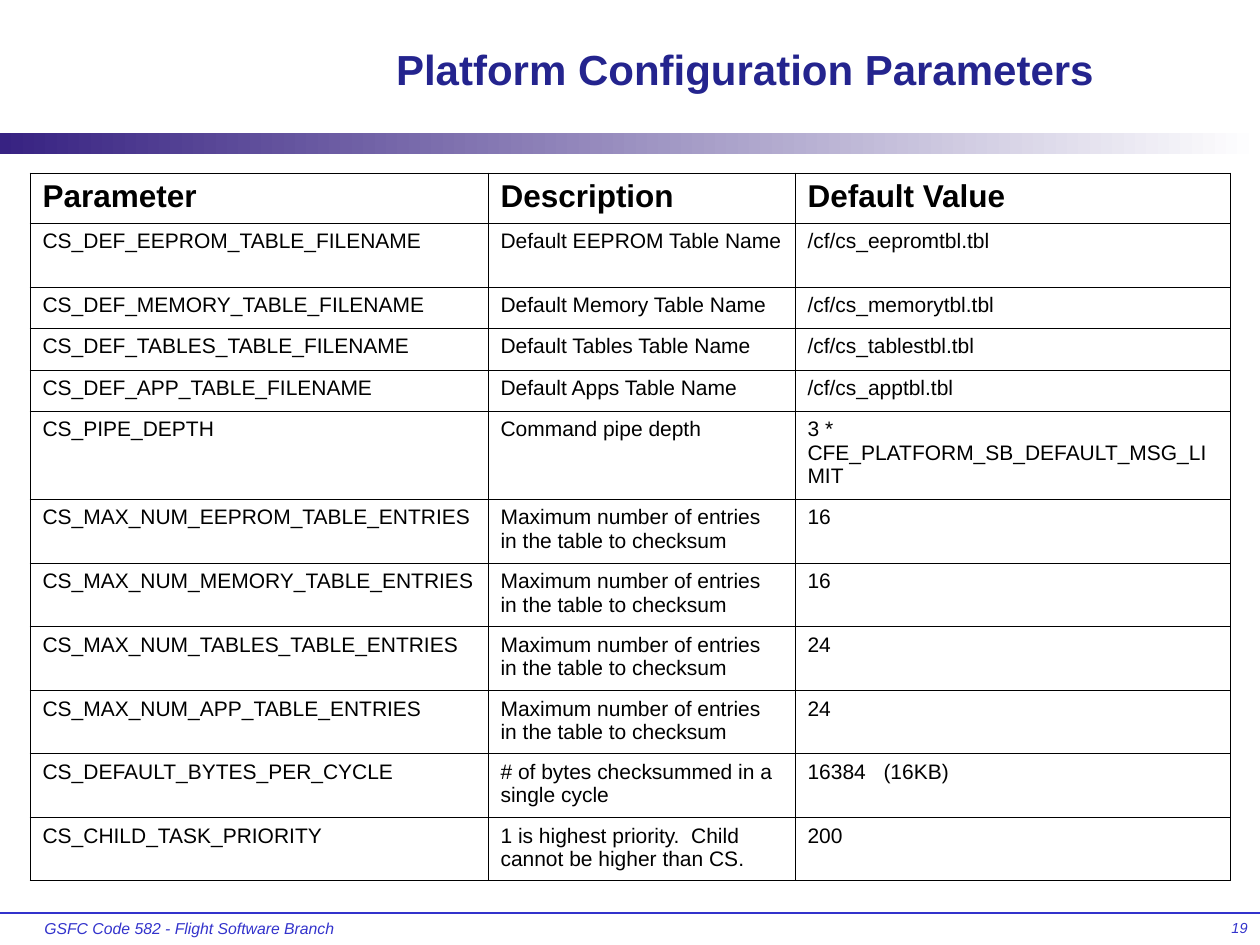
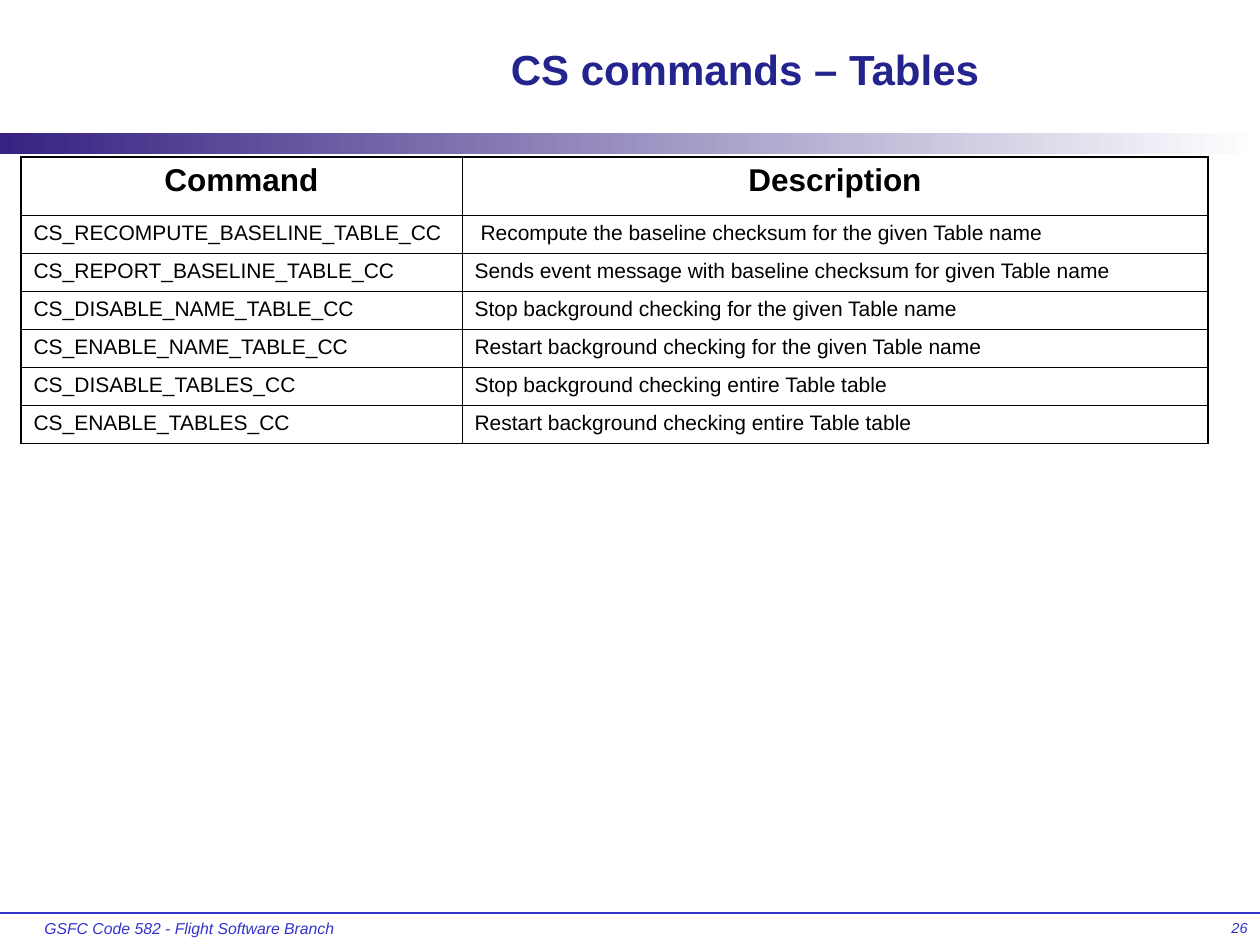
from dataclasses import dataclass

from lxml.etree import SubElement
from pptx import Presentation
from pptx.dml.color import RGBColor
from pptx.enum.shapes import MSO_CONNECTOR, MSO_SHAPE
from pptx.enum.text import MSO_ANCHOR, PP_ALIGN
from pptx.oxml.ns import qn
from pptx.util import Pt

PX = 914400 / 126
SLIDE_WIDTH, SLIDE_HEIGHT = 1260, 945
FONT = "Arial"
COLORS = {
    "title": "24248E",
    "footer": "3333CC",
    "band_start": "372282",
    "band_end": "FFFFFF",
    "table": "000000",
}
THIN, THICK = 0.45, 1.08
TAB_STOPS = (6, 76)
FOOTER_TOP, FOOTER_HEIGHT = 913, 32
BRANCH = "GSFC Code 582 - Flight Software Branch"


@dataclass(frozen=True)
class TextStyle:
    size: float
    color: str
    bold: bool = False
    italic: bool = False
    align: PP_ALIGN = PP_ALIGN.LEFT


@dataclass(frozen=True)
class Grid:
    left: int
    top: int
    columns: list[int]
    row_heights: list[int]
    rows: list[tuple[str, ...]]
    heading_align: PP_ALIGN
    frame_width: float


@dataclass(frozen=True)
class Page:
    title: str
    number: int
    grid: Grid


TITLE = TextStyle(24, "title", bold=True, align=PP_ALIGN.CENTER)
BRANCH_NAME = TextStyle(9, "footer", italic=True)
PAGE_NUMBER = TextStyle(8.3, "footer", italic=True, align=PP_ALIGN.RIGHT)
ENTRY = TextStyle(12, "table")

CHECKSUM_LIMIT = "Maximum number of entries in the table to checksum"
PARAMETERS = [
    ("Parameter", "Description", "Default Value"),
    ("CS_DEF_EEPROM_TABLE_FILENAME", "Default EEPROM Table Name", "/cf/cs_eepromtbl.tbl"),
    ("CS_DEF_MEMORY_TABLE_FILENAME", "Default Memory Table Name", "/cf/cs_memorytbl.tbl"),
    ("CS_DEF_TABLES_TABLE_FILENAME", "Default Tables Table Name", "/cf/cs_tablestbl.tbl"),
    ("CS_DEF_APP_TABLE_FILENAME", "Default Apps Table Name", "/cf/cs_apptbl.tbl"),
    ("CS_PIPE_DEPTH", "Command pipe depth", "3 * CFE_PLATFORM_SB_DEFAULT_MSG_LIMIT"),
    ("CS_MAX_NUM_EEPROM_TABLE_ENTRIES", CHECKSUM_LIMIT, "16"),
    ("CS_MAX_NUM_MEMORY_TABLE_ENTRIES", CHECKSUM_LIMIT, "16"),
    ("CS_MAX_NUM_TABLES_TABLE_ENTRIES", CHECKSUM_LIMIT, "24"),
    ("CS_MAX_NUM_APP_TABLE_ENTRIES", CHECKSUM_LIMIT, "24"),
    ("CS_DEFAULT_BYTES_PER_CYCLE", "# of bytes checksummed in a single cycle", "16384\t(16KB)"),
    ("CS_CHILD_TASK_PRIORITY", "1 is highest priority.  Child cannot be higher than CS.", "200"),
]
COMMANDS = [
    ("Command", "Description"),
    ("CS_RECOMPUTE_BASELINE_TABLE_CC", "\tRecompute the baseline checksum for the given Table name"),
    ("CS_REPORT_BASELINE_TABLE_CC", "Sends event message with baseline checksum for given Table name"),
    ("CS_DISABLE_NAME_TABLE_CC", "Stop background checking for the given Table name"),
    ("CS_ENABLE_NAME_TABLE_CC", "Restart background checking for the given Table name"),
    ("CS_DISABLE_TABLES_CC", "Stop background checking entire Table table"),
    ("CS_ENABLE_TABLES_CC", "Restart background checking entire Table table"),
]
PAGES = [
    Page("Platform Configuration Parameters", 19, Grid(
        30, 173, [458, 307, 435], [50, 64, 41, 42, 41, 88] + [64, 63] * 3,
        PARAMETERS, PP_ALIGN.LEFT, THIN)),
    Page("CS commands – Tables", 26, Grid(
        21, 157, [441, 746], [58] + [38] * 6,
        COMMANDS, PP_ALIGN.CENTER, THICK)),
]


def emu(px: int) -> int:
    return round(px * PX)


def rgb(name: str) -> RGBColor:
    return RGBColor.from_string(COLORS[name])


def write(frame, text: str, style: TextStyle) -> None:
    """Put one styled run in the frame's first paragraph."""
    paragraph = frame.paragraphs[0]
    if "\t" in text:
        stops = SubElement(paragraph._p.get_or_add_pPr(), qn("a:tabLst"))
        for stop in TAB_STOPS:
            SubElement(stops, qn("a:tab"), pos=str(emu(stop)), algn="l")
    paragraph.alignment = style.align
    run = paragraph.add_run()
    run.text = text
    run.font.name = FONT
    run.font.size = Pt(style.size)
    run.font.bold = style.bold
    run.font.italic = style.italic
    run.font.color.rgb = rgb(style.color)


def add_footer_text(slide, left: int, width: int, text: str, style: TextStyle) -> None:
    box = slide.shapes.add_textbox(
        emu(left), emu(FOOTER_TOP), emu(width), emu(FOOTER_HEIGHT))
    box.text_frame.word_wrap = True
    write(box.text_frame, text, style)


def add_page_frame(slide, page: Page) -> None:
    """Draw the footer rule, gradient band, footer texts and title."""
    rule = slide.shapes.add_connector(
        MSO_CONNECTOR.STRAIGHT, 0, emu(FOOTER_TOP), emu(SLIDE_WIDTH), emu(FOOTER_TOP))
    rule.line.color.rgb = rgb("footer")
    rule.line.width = Pt(0.75)
    SubElement(rule._element.spPr, qn("a:effectLst"))

    band = slide.shapes.add_shape(
        MSO_SHAPE.RECTANGLE, 0, emu(133), emu(SLIDE_WIDTH), emu(21))
    band.shadow.inherit = False
    band.line.fill.background()
    band.fill.gradient()
    band.fill.gradient_angle = 0
    for stop, color in zip(band.fill.gradient_stops, ("band_start", "band_end")):
        stop.color.rgb = rgb(color)

    add_footer_text(slide, 32, 315, BRANCH, BRANCH_NAME)
    add_footer_text(slide, 998, 262, str(page.number), PAGE_NUMBER)

    title = slide.shapes.title
    title.left, title.top = emu(262), emu(21)
    title.width, title.height = emu(966), emu(96)
    title.text_frame.vertical_anchor = MSO_ANCHOR.MIDDLE
    write(title.text_frame, page.title, TITLE)


def set_borders(cell, widths: dict[str, float]) -> None:
    properties = cell._tc.get_or_add_tcPr()
    for side, width in widths.items():
        line = SubElement(properties, qn(f"a:ln{side}"), w=str(Pt(width)))
        fill = SubElement(line, qn("a:solidFill"))
        SubElement(fill, qn("a:srgbClr"), val=COLORS["table"])


def add_grid(slide, grid: Grid) -> None:
    table = slide.shapes.add_table(
        len(grid.rows), len(grid.columns), emu(grid.left), emu(grid.top),
        emu(sum(grid.columns)), emu(sum(grid.row_heights))).table
    table.first_row = table.horz_banding = False
    for column, width in zip(table.columns, grid.columns):
        column.width = emu(width)
    for row, height in zip(table.rows, grid.row_heights):
        row.height = emu(height)

    heading = TextStyle(18, "table", bold=True, align=grid.heading_align)
    last_column = len(grid.columns) - 1
    for r, entries in enumerate(grid.rows):
        for c, entry in enumerate(entries):
            cell = table.cell(r, c)
            write(cell.text_frame, entry, ENTRY if r else heading)
            set_borders(cell, {
                "L": THIN if c else grid.frame_width,
                "R": grid.frame_width if c == last_column else THIN,
                "T": THIN if r else grid.frame_width,
                "B": THIN,
            })
            cell.fill.background()


def main() -> None:
    deck = Presentation()
    deck.slide_width, deck.slide_height = emu(SLIDE_WIDTH), emu(SLIDE_HEIGHT)
    title_only = deck.slide_layouts[5]
    for page in PAGES:
        slide = deck.slides.add_slide(title_only)
        add_page_frame(slide, page)
        add_grid(slide, page.grid)
    deck.save("out.pptx")


if __name__ == "__main__":
    main()
